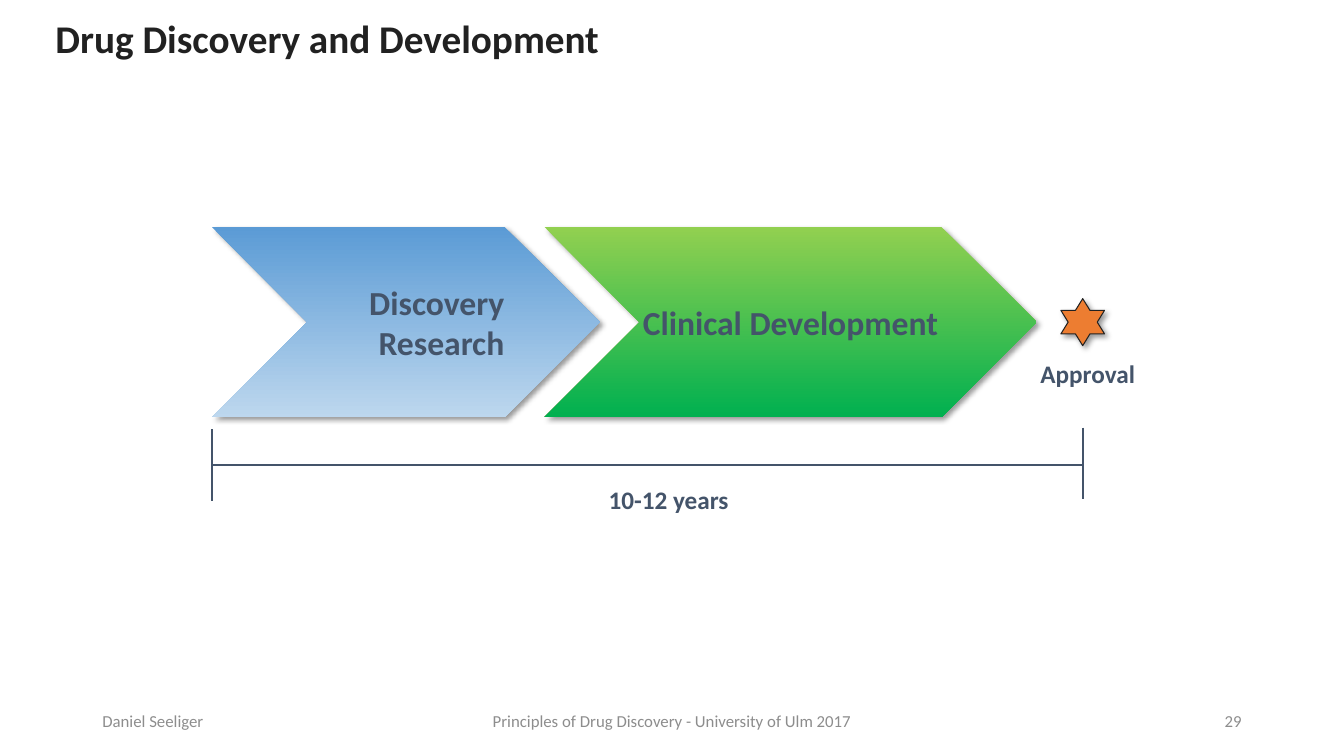
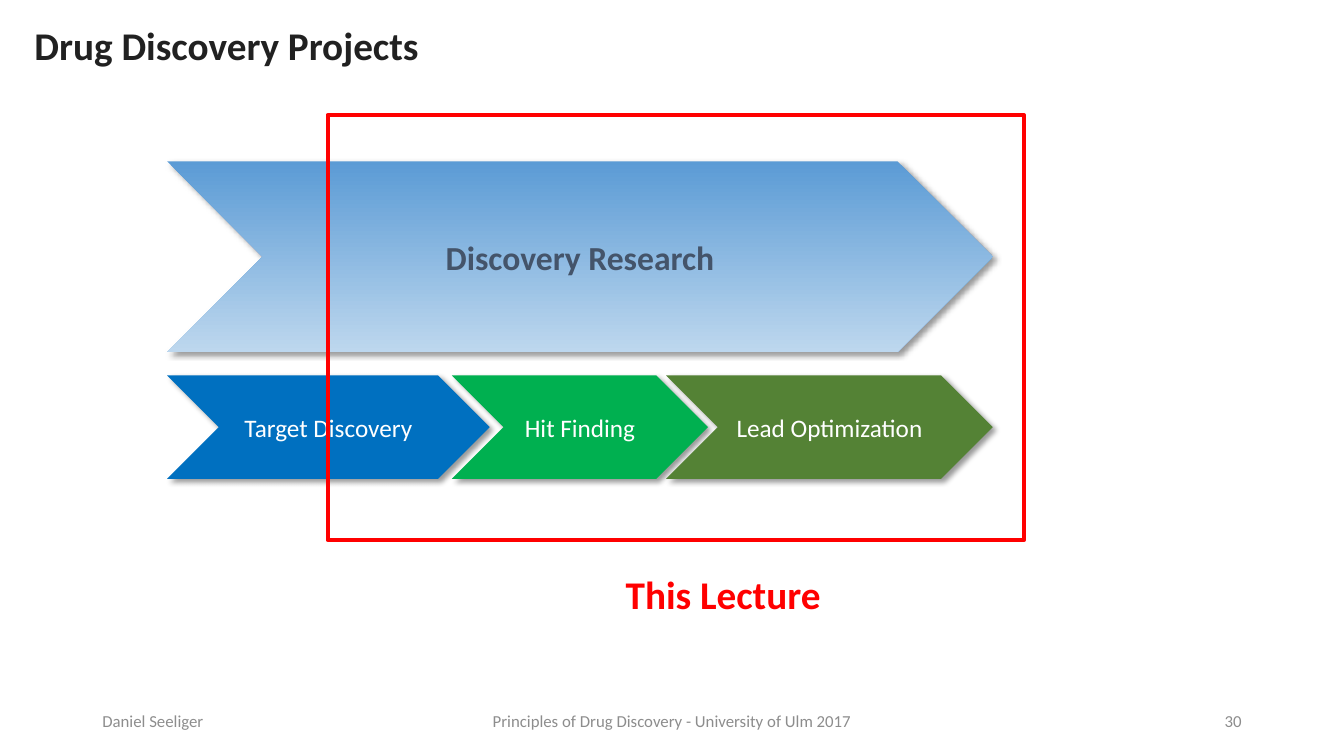
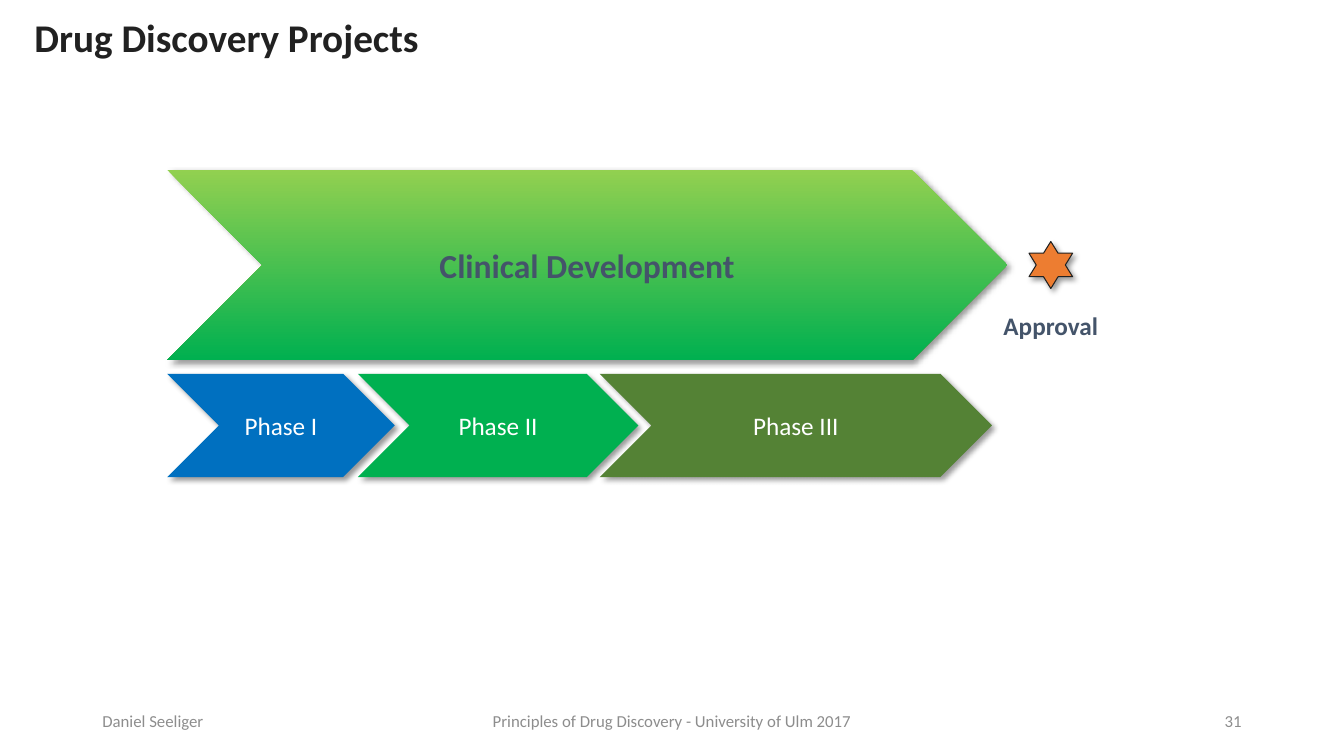
from lxml import etree
from pptx import Presentation
from pptx import util as u
from pptx.dml.color import RGBColor
from pptx.enum import shapes, text
from pptx.oxml import ns

COLORS = {
    "title": "212121", "slate": "44546A", "footer": "8D8D8D", "white": "FFFFFF",
    "red": "FF0000", "orange": "ED7D31", "black": "000000",
    "blue": "0070C0", "green": "00B050", "olive": "548235",
    "sky": "5B9BD5", "pale": "BDD7EE", "lime": "92D050",
}
FONT = "Calibri"
COLUMNS, ROWS = 16, 9
SLIDE_WIDTH, SLIDE_HEIGHT = u.Inches(13.33), u.Inches(7.5)
DISCOVERY, CLINICAL = ("sky", "pale"), ("lime", "green")
STAGE_COLORS = ("blue", "green", "olive")
LEFT_EDGE, PHASE_HEIGHT, STAGE_HEIGHT = 1.99, 2.27, 1.23
SHAPE, ALIGN = shapes.MSO_SHAPE, text.PP_ALIGN


def rgb(name):
    return RGBColor.from_string(COLORS[name])


def across(columns):
    return round(SLIDE_WIDTH * columns / COLUMNS)


def down(rows):
    return round(SLIDE_HEIGHT * rows / ROWS)


def area(left, top, width, height):
    return across(left), down(top), across(width), down(height)


def write(frame, words, size=18, color="slate", bold=False, align=ALIGN.CENTER,
          wrap=True, inset=None, spacing=None):
    frame.word_wrap = wrap
    frame.vertical_anchor = text.MSO_ANCHOR.MIDDLE
    if inset is not None:
        frame.margin_left = frame.margin_right = inset
        frame.margin_top = frame.margin_bottom = inset
    para = frame.paragraphs[0]
    para.alignment = align
    para.line_spacing = spacing
    span = para.add_run()
    span.text = words
    span.font.name, span.font.size, span.font.bold = FONT, u.Pt(size), bold
    span.font.color.rgb = rgb(color)


def add_label(page, words, place, **style):
    box = page.shapes.add_textbox(*area(*place))
    write(box.text_frame, words, **style)


def add_shadow(shape):
    effects = shape.element.spPr.find(ns.qn("a:effectLst"))
    outer = etree.SubElement(effects, ns.qn("a:outerShdw"), blurRad=str(u.Pt(4)),
                             dist=str(u.Pt(3)), dir="2700000", algn="tl", rotWithShape="0")
    tone = etree.SubElement(outer, ns.qn("a:srgbClr"), val=COLORS["black"])
    etree.SubElement(tone, ns.qn("a:alpha"), val="40000")


def add_figure(page, kind, place, fill=None, line=None, weight=0.75, shadow=True):
    shape = page.shapes.add_shape(kind, *area(*place))
    if fill is None:
        shape.fill.background()
    elif isinstance(fill, tuple):
        shape.fill.gradient()
        shape.fill.gradient_angle = 270
        for stop, name in zip(shape.fill.gradient_stops, fill):
            stop.color.rgb = rgb(name)
    else:
        shape.fill.solid()
        shape.fill.fore_color.rgb = rgb(fill)
    if line:
        shape.line.color.rgb = rgb(line)
        shape.line.width = u.Pt(weight)
    else:
        shape.line.fill.background()
    shape.shadow.inherit = False
    if shadow:
        add_shadow(shape)
    return shape


def add_chevron(page, words, place, fill, **style):
    shape = add_figure(page, SHAPE.CHEVRON, place, fill)
    write(shape.text_frame, words, inset=0, **style)


def add_phase(page, words, left, top, width, fill, align=ALIGN.CENTER):
    add_chevron(page, words, (left, top, width, PHASE_HEIGHT), fill,
                size=24, bold=True, align=align)


def add_stages(page, top, stages):
    for (words, left, width), fill in zip(stages, STAGE_COLORS):
        add_chevron(page, words, (left, top, width, STAGE_HEIGHT), fill, color="white")


def add_approval(page, center, phase_top, label_center, label_top):
    width, height = 0.52, 0.56
    middle = phase_top + PHASE_HEIGHT / 2
    add_figure(page, SHAPE.STAR_6_POINT,
               (center - width / 2, middle - height / 2, width, height), "orange", "title")
    add_label(page, "Approval", (label_center - 0.69, label_top, 1.38, 0.48),
              bold=True, wrap=False)


def add_line(page, start, end):
    line = page.shapes.add_connector(shapes.MSO_CONNECTOR.STRAIGHT, across(start[0]),
                                     down(start[1]), across(end[0]), down(end[1]))
    line.line.color.rgb = rgb("slate")
    line.line.width = u.Pt(1.5)
    etree.SubElement(line.element.spPr, ns.qn("a:effectLst"))


def add_page(deck, number, title, left, top):
    page = deck.slides.add_slide(deck.slide_layouts[5])
    heading = page.shapes.title
    heading.left, heading.top, heading.width, heading.height = area(left, top, 13.8, 0.6)
    write(heading.text_frame, title, size=28, color="title", bold=True,
          align=ALIGN.LEFT, spacing=0.9)
    for words, start, width, align in (
        ("Daniel Seeliger", 1.1, 3.6, ALIGN.LEFT),
        ("Principles of Drug Discovery - University of Ulm 2017", 5.3, 5.4, ALIGN.CENTER),
        (str(number), 11.3, 3.6, ALIGN.RIGHT),
    ):
        add_label(page, words, (start, 8.34, width, 0.48), size=12, color="footer", align=align)
    return page


def build_overview(deck):
    page = add_page(deck, 29, "Drug Discovery and Development", 0.54, 0.19)
    start, end, top, axis = 2.52, 12.89, 2.7, 5.54
    add_phase(page, "Clinical Development", 6.48, top, 5.86, CLINICAL)
    add_phase(page, "Discovery Research", start, top, 4.62, DISCOVERY, ALIGN.RIGHT)
    add_approval(page, end, top, 12.95, 4.21)
    add_line(page, (start, axis), (end, axis))
    for x, tick_top in ((start, 5.11), (end, 5.09)):
        add_line(page, (x, tick_top), (x, tick_top + 0.85))
    add_label(page, "10-12 years", (7.12, 5.7, 1.68, 0.48), bold=True, wrap=False)


def build_discovery(deck):
    page = add_page(deck, 30, "Drug Discovery Projects", 0.29, 0.27)
    add_stages(page, 4.47, (("Target Discovery", LEFT_EDGE, 3.84),
                            ("Hit Finding", 5.38, 3.05),
                            ("Lead Optimization", 7.93, 3.89)))
    add_phase(page, "Discovery Research", LEFT_EDGE, 1.92, 9.83, DISCOVERY)
    add_figure(page, SHAPE.RECTANGLE, (3.9, 1.37, 8.29, 5.06), line="red", weight=3, shadow=False)
    add_label(page, "This Lecture", (7.33, 6.73, 2.59, 0.68), size=28, color="red",
              bold=True, align=ALIGN.LEFT, wrap=False)


def build_clinical(deck):
    page = add_page(deck, 31, "Drug Discovery Projects", 0.29, 0.17)
    top = 2.02
    add_stages(page, 4.45, (("Phase I", LEFT_EDGE, 2.71),
                            ("Phase II", 4.26, 3.34),
                            ("Phase III", 7.14, 4.67)))
    add_phase(page, "Clinical Development", LEFT_EDGE, top, 10, CLINICAL)
    add_approval(page, 12.51, top, 12.51, 3.64)


def main():
    deck = Presentation()
    deck.slide_width, deck.slide_height = SLIDE_WIDTH, SLIDE_HEIGHT
    build_overview(deck)
    build_discovery(deck)
    build_clinical(deck)
    deck.save("out.pptx")


if __name__ == "__main__":
    main()
